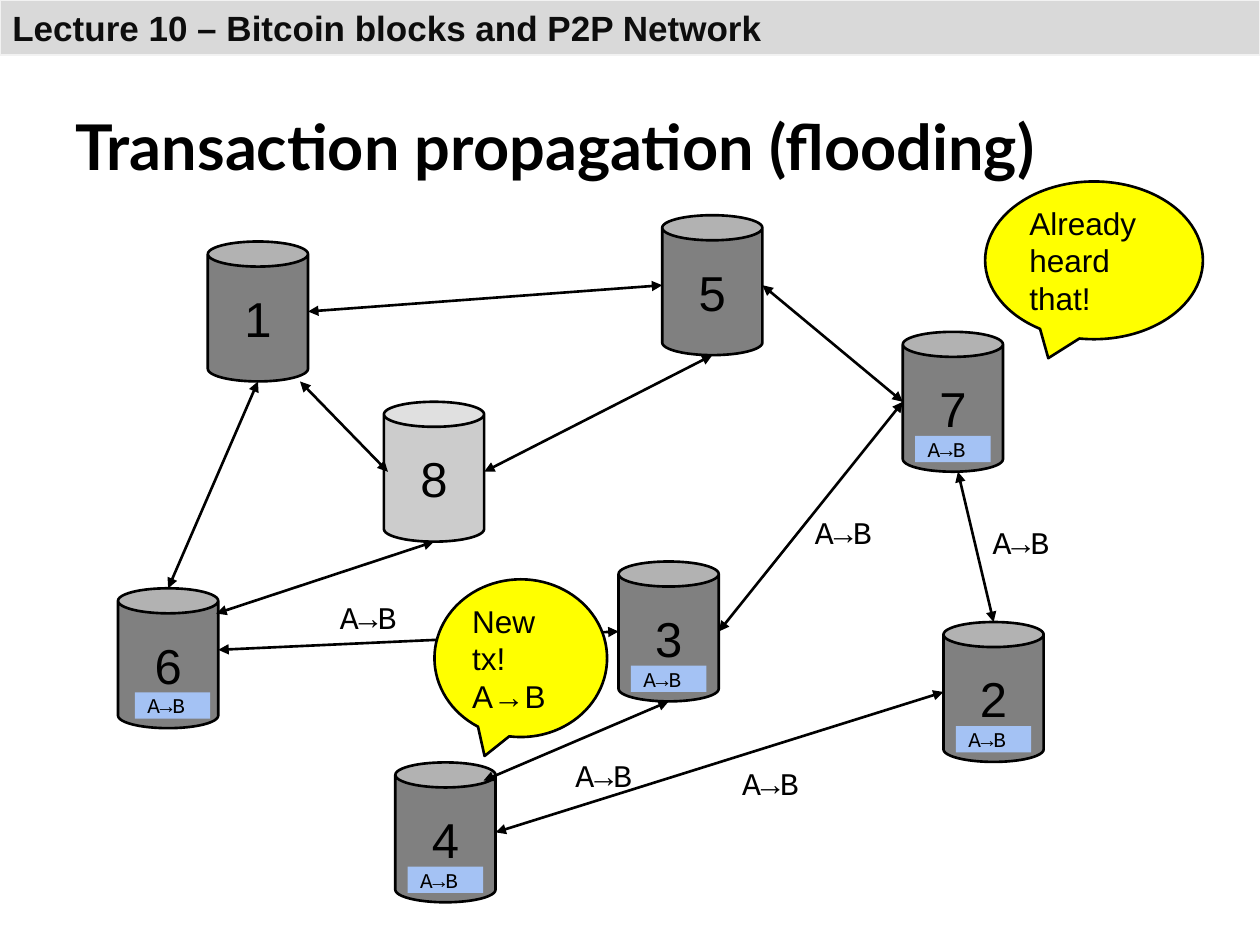
from lxml import etree
from pptx import Presentation
from pptx.dml.color import RGBColor
from pptx.enum.shapes import MSO_CONNECTOR, MSO_SHAPE
from pptx.enum.text import MSO_ANCHOR, PP_ALIGN
from pptx.oxml.ns import qn
from pptx.util import Cm, Pt

RECT = MSO_SHAPE.RECTANGLE
CAN = MSO_SHAPE.CAN
CALLOUT = MSO_SHAPE.OVAL_CALLOUT
STRAIGHT = MSO_CONNECTOR.STRAIGHT
MIDDLE, BOTTOM = MSO_ANCHOR.MIDDLE, MSO_ANCHOR.BOTTOM
LEFT, CENTER = PP_ALIGN.LEFT, PP_ALIGN.CENTER

BLACK = RGBColor(0x00, 0x00, 0x00)
NEAR_BLACK = RGBColor(0x0D, 0x0D, 0x0D)
GRAY = RGBColor(0x80, 0x80, 0x80)
LIGHT_GRAY = RGBColor(0xCC, 0xCC, 0xCC)
BAR_GRAY = RGBColor(0xD9, 0xD9, 0xD9)
BAR_EDGE = RGBColor(0xF2, 0xF2, 0xF2)
BLUE = RGBColor(0xA4, 0xC2, 0xF4)
YELLOW = RGBColor(0xFF, 0xFF, 0x00)

CAN_W, CAN_H = 2.02, 2.82
TX = "A→B"


def write(s, lines, size, font="Arial", color=BLACK, bold=False, align=LEFT, anchor=MIDDLE):
    tf = s.text_frame
    tf.word_wrap = True
    tf.vertical_anchor = anchor
    tf.margin_left = tf.margin_right = tf.margin_top = tf.margin_bottom = Cm(0.25)
    for i, line in enumerate(lines):
        p = tf.add_paragraph() if i else tf.paragraphs[0]
        p.alignment = align
        r = p.add_run()
        r.text = line
        r.font.size = Pt(size)
        r.font.name = font
        r.font.bold = bold
        r.font.color.rgb = color


def add_box(kind, x, y, w, h, fill, line=None, width=1.5):
    s = sl.shapes.add_shape(kind, Cm(x), Cm(y), Cm(w), Cm(h))
    s.shadow.inherit = False
    s.fill.solid()
    s.fill.fore_color.rgb = fill
    if line is None:
        s.line.fill.background()
    else:
        s.line.color.rgb = line
        s.line.width = Pt(width)
    return s


prs = Presentation()
prs.slide_width, prs.slide_height = Cm(25.4), Cm(19.05)
sl = prs.slides.add_slide(prs.slide_layouts[5])

title = sl.shapes.title
title.left, title.top, title.width, title.height = Cm(1.27), Cm(0.76), Cm(22.86), Cm(3.18)
write(title, ["Transaction propagation (flooding)"], 36, "Lato", bold=True, anchor=BOTTOM)

bar = add_box(RECT, 0, 0, 25.4, 1.11, BAR_GRAY, BAR_EDGE, 0.75)
write(bar, ["Lecture 10 – Bitcoin blocks and P2P Network"], 20, color=NEAR_BLACK, bold=True)

nodes = {
    1: (4.19, 4.87), 6: (2.38, 11.86), 4: (7.97, 15.37), 7: (18.2, 6.69),
    3: (12.47, 11.32), 5: (13.35, 4.34), 2: (19.02, 12.54), 8: (7.74, 8.1),
}
for number, (x, y) in nodes.items():
    s = add_box(CAN, x, y, CAN_W, CAN_H, LIGHT_GRAY if number == 8 else GRAY, BLACK)
    write(s, [str(number)], 28, align=CENTER)

SIDE_TOP, SIDE_LEFT, SIDE_BOTTOM, SIDE_RIGHT = (0.5, 0), (0, 0.5), (0.5, 1), (1, 0.5)
links = [
    (1, SIDE_BOTTOM, 6, SIDE_TOP),
    (5, SIDE_LEFT, 1, SIDE_RIGHT),
    (3, SIDE_LEFT, 6, (1, 0.44)),
    (7, SIDE_LEFT, 3, SIDE_RIGHT),
    (7, SIDE_LEFT, 5, SIDE_RIGHT),
    (3, SIDE_BOTTOM, 4, (0.88, 0.13)),
    (2, SIDE_TOP, 7, (0.55, 1)),
    (2, SIDE_LEFT, 4, SIDE_RIGHT),
    (1, (0.92, 1), 8, (0.04, 0.5)),
    (8, SIDE_BOTTOM, 6, (0.98, 0.18)),
    (5, SIDE_BOTTOM, 8, SIDE_RIGHT),
]
for start, start_at, end, end_at in links:
    points = [
        Cm(nodes[n][axis] + at[axis] * size)
        for n, at in ((start, start_at), (end, end_at))
        for axis, size in enumerate((CAN_W, CAN_H))
    ]
    link = sl.shapes.add_connector(STRAIGHT, *points)
    link.line.color.rgb = BLACK
    link.line.width = Pt(1.5)
    ln = link.line._get_or_add_ln()
    for tag in ("a:headEnd", "a:tailEnd"):
        etree.SubElement(ln, qn(tag), type="triangle")
    etree.SubElement(link._element.spPr, qn("a:effectLst"))

callouts = [
    (8.76, 11.68, 3.48, ["New tx!", TX]),
    (19.86, 3.66, 4.39, ["Already heard that!"]),
]
for x, y, w, lines in callouts:
    s = add_box(CALLOUT, x, y, w, 3.18, YELLOW, BLACK)
    s.adjustments[0], s.adjustments[1] = -0.21, 0.62
    write(s, lines, 18)

for number in (4, 3, 2, 6, 7):
    x, y = nodes[number]
    dx = 0.34 if number == 6 else 0.25
    write(add_box(RECT, x + dx, y + 2.1, 1.52, 0.53, BLUE), [TX], 12, "Courier New")

for x, y in [(14.71, 15.37), (19.76, 10.52), (11.35, 15.21), (6.6, 12.04), (16.18, 10.31)]:
    s = sl.shapes.add_textbox(Cm(x), Cm(y), Cm(1.78), Cm(0.81))
    write(s, [TX], 18, "Courier New")

prs.save("out.pptx")
